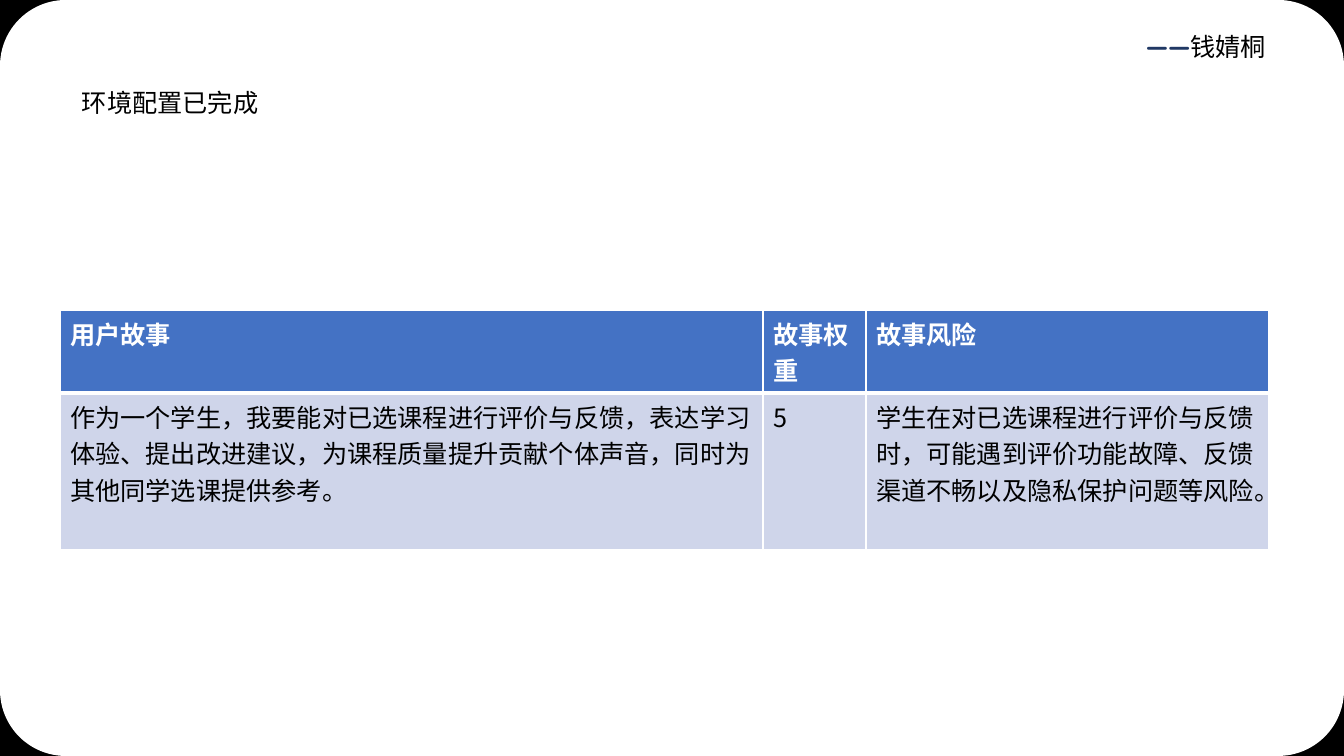
from lxml.etree import SubElement
from pptx import Presentation
from pptx.dml.color import RGBColor
from pptx.enum.shapes import MSO_SHAPE as Shape
from pptx.enum.text import MSO_AUTO_SIZE as AutoSize, PP_ALIGN as Align
from pptx.oxml.ns import qn
from pptx.util import Emu, Pt

CJK = "Noto Sans CJK SC"
BLACK, WHITE, NAVY = "000000", "FFFFFF", "203864"
HEADER_BLUE, BODY_BLUE = "4472C4", "CFD5EA"


def px(length):
    """Turn px into EMU."""
    return Emu(round(length * 914400 / 100.8))


def color(value):
    """Turn a hex string into a colour."""
    return RGBColor.from_string(value)


class StorySlide:
    """Holds the text style and the current slide."""

    def __init__(self, deck, background):
        """Add a blank slide with a plain background."""
        self.font, self.size = CJK, Pt(18)
        self.slide = deck.slides.add_slide(deck.slide_layouts[6])
        self.slide.background.fill.solid()
        self.slide.background.fill.fore_color.rgb = color(background)

    def panel(self, box, fill, rounding):
        """Add a rounded panel without an outline."""
        panel = self.slide.shapes.add_shape(Shape.ROUNDED_RECTANGLE, *map(px, box))
        panel.adjustments[0] = rounding
        panel.shadow.inherit = False
        panel.fill.solid()
        panel.fill.fore_color.rgb = color(fill)
        panel.line.fill.background()

    def run(self, paragraph, text, ink=BLACK, bold=False, font=None):
        """Add one styled run."""
        run = paragraph.add_run()
        run.text = text
        run.font.size, run.font.bold = self.size, bold
        run.font.color.rgb = color(ink)
        run.font.name = font or self.font
        SubElement(run.font._element, qn("a:ea"), typeface=font or self.font)

    def text(self, box):
        """Add a wrapping text box and return its first paragraph."""
        frame = self.slide.shapes.add_textbox(*map(px, box)).text_frame
        frame.word_wrap = True
        frame.auto_size = AutoSize.SHAPE_TO_FIT_TEXT
        return frame.paragraphs[0]

    def border(self, cell, side, width):
        """Draw one white cell border."""
        line = SubElement(cell._tc.get_or_add_tcPr(), qn(f"a:ln{side}"), w=str(Pt(width)))
        SubElement(SubElement(line, qn("a:solidFill")), qn("a:srgbClr"), val=WHITE)

    def table(self, left, top, widths, heights, rows):
        """Add a table with a bold header row."""
        box = map(px, (left, top, sum(widths), sum(heights)))
        table = self.slide.shapes.add_table(len(rows), len(widths), *box).table
        table.horz_banding = False
        for column, width in zip(table.columns, widths):
            column.width = px(width)
        for index, (height, texts) in enumerate(zip(heights, rows)):
            header = index == 0
            table.rows[index].height = px(height)
            for cell, text in zip(table.rows[index].cells, texts):
                for side in "LRTB":
                    divider = side == ("B" if header else "T")
                    self.border(cell, side, 3 if divider else 1)
                cell.fill.solid()
                cell.fill.fore_color.rgb = color(HEADER_BLUE if header else BODY_BLUE)
                self.run(cell.text_frame.paragraphs[0], text,
                         WHITE if header else BLACK, header)


def main():
    """Build and save the slide."""
    deck = Presentation()
    deck.slide_width, deck.slide_height = px(1344), px(756)
    page = StorySlide(deck, BLACK)
    page.panel((0, 0, 1344, 756), WHITE, 0.087)
    page.table(60, 310, (703, 103, 403), (81, 157), (
        ("用户故事", "故事权重", "故事风险"),
        ("作为一个学生，我要能对已选课程进行评价与反馈，表达学习体验、提出改进建议，"
         "为课程质量提升贡献个体声音，同时为其他同学选课提供参考。",
         "5",
         "学生在对已选课程进行评价与反馈时，可能遇到评价功能故障、反馈渠道不畅"
         "以及隐私保护问题等风险。"),
    ))
    status = page.text((72, 82, 365, 40))
    page.run(status, "环境配置已完成")
    author = page.text((766, 26, 528, 72))
    author.alignment = Align.CENTER
    indents = author._p.get_or_add_pPr()
    indents.set("marL", str(px(302)))
    indents.set("indent", str(px(50)))
    page.run(author, "——", NAVY, True, "Quicksand")
    page.run(author, "钱婧桐")
    deck.save("out.pptx")


if __name__ == "__main__":
    main()
